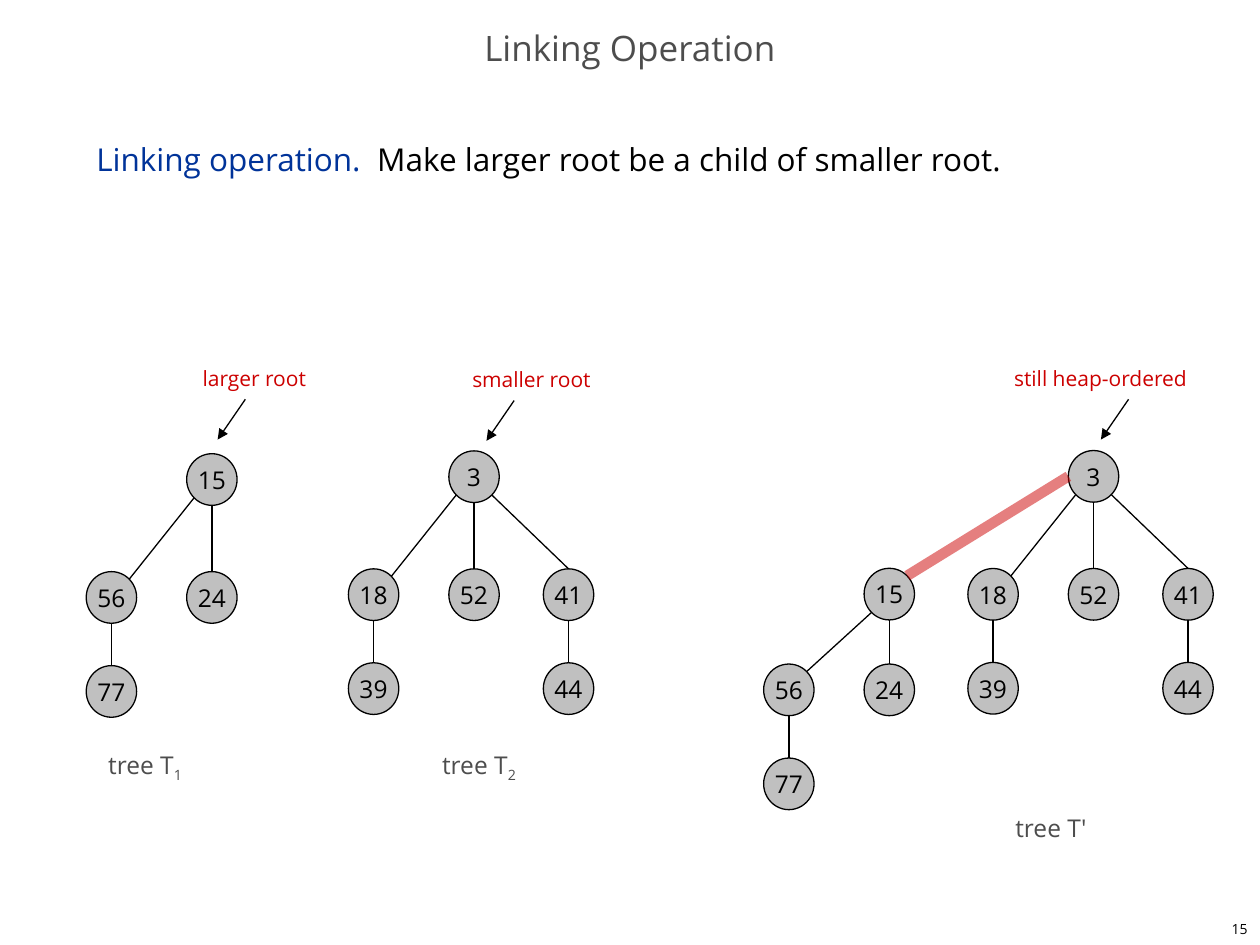
from lxml import etree
from pptx import Presentation
from pptx.dml.color import RGBColor
from pptx.enum.shapes import MSO_CONNECTOR, MSO_SHAPE
from pptx.enum.text import MSO_ANCHOR, MSO_AUTO_SIZE, PP_ALIGN
from pptx.oxml.ns import qn
from pptx.util import Pt

OVAL, STRAIGHT = MSO_SHAPE.OVAL, MSO_CONNECTOR.STRAIGHT
TOP, MIDDLE = MSO_ANCHOR.TOP, MSO_ANCHOR.MIDDLE
LEFT, CENTER, RIGHT = PP_ALIGN.LEFT, PP_ALIGN.CENTER, PP_ALIGN.RIGHT
FIT, FIXED = MSO_AUTO_SIZE.SHAPE_TO_FIT_TEXT, MSO_AUTO_SIZE.NONE

BLACK = RGBColor(0x00, 0x00, 0x00)
WHITE = RGBColor(0xFF, 0xFF, 0xFF)
GRAY = RGBColor(0x4D, 0x4D, 0x4D)
SILVER = RGBColor(0xC0, 0xC0, 0xC0)
BLUE = RGBColor(0x00, 0x33, 0x99)
RED = RGBColor(0xCC, 0x00, 0x00)

FONT = "Open Sans"
NODE_W, NODE_H = 28.8, 29.5
CORNER_X, CORNER_Y = 10.2, 10.5
LEFT_DX, RIGHT_DX = -57.4, 54
ROOT_DROP, LEAF_DROP = 67.4, 53.7

SMALLER = [
    ("3", None, 0, 0),
    ("18", "3", LEFT_DX, ROOT_DROP),
    ("52", "3", 0, ROOT_DROP),
    ("41", "3", RIGHT_DX, ROOT_DROP),
    ("39", "18", 0, LEAF_DROP),
    ("44", "41", 0, LEAF_DROP),
]


def larger(drop):
    return [
        ("15", None, 0, 0),
        ("56", "15", LEFT_DX, drop),
        ("24", "15", 0, drop),
        ("77", "56", 0, LEAF_DROP),
    ]


TREES = [
    (SMALLER, 270.9, 272.4),
    (larger(ROOT_DROP), 121.1, 274),
    (SMALLER, 624.9, 272.2),
    (larger(54.7), 508.2, 339.5),
]
TREE_LABELS = [
    (54.7, 424.8, 70, "tree T", "1"),
    (245.5, 424.8, 70, "tree T", "2"),
    (573.1, 460.8, 73.4, "tree T'", ""),
]
CALLOUTS = [
    (262.8, 205.9, 100.8, "smaller root", 31),
    (108.7, 205.2, 93.6, "larger root", 31.5),
    (572.4, 205.2, 144, "still heap-ordered", 72.5),
]

prs = Presentation()
prs.slide_width, prs.slide_height = Pt(720), Pt(540)
s = prs.slides.add_slide(prs.slide_layouts[6])
s.background.fill.solid()
s.background.fill.fore_color.rgb = WHITE


def write(sp, runs, size=14, align=LEFT, anchor=TOP, wrap=True, fit=FIXED, spacing=None):
    tf = sp.text_frame
    tf.word_wrap, tf.auto_size, tf.vertical_anchor = wrap, fit, anchor
    p = tf.paragraphs[0]
    p.alignment = align
    if spacing:
        p.line_spacing = spacing
    for text, color, baseline in runs:
        r = p.add_run()
        r.text = text
        r.font.name, r.font.size, r.font.color.rgb = FONT, Pt(size), color
        if baseline:
            r.font._element.set("baseline", str(baseline))


def add_text(x, y, w, h, runs, **fmt):
    write(s.shapes.add_textbox(Pt(x), Pt(y), Pt(w), Pt(h)), runs, **fmt)


def add_line(start, end, color=BLACK, width=0.75, alpha=None, arrow=False):
    sp = s.shapes.add_connector(STRAIGHT, *(Pt(v) for v in (*start, *end)))
    sp.line.color.rgb, sp.line.width = color, Pt(width)
    pr = sp._element.spPr
    etree.SubElement(pr, qn("a:effectLst"))
    if alpha:
        etree.SubElement(pr.find(".//" + qn("a:srgbClr")), qn("a:alpha"), val=str(alpha * 1000))
    if arrow:
        etree.SubElement(pr.find(qn("a:ln")), qn("a:tailEnd"), type="triangle")


def add_node(label, x, y):
    sp = s.shapes.add_shape(OVAL, Pt(x - NODE_W / 2), Pt(y - NODE_H / 2), Pt(NODE_W), Pt(NODE_H))
    sp.shadow.inherit = False
    sp.fill.solid()
    sp.fill.fore_color.rgb = SILVER
    sp.line.color.rgb, sp.line.width = BLACK, Pt(0.75)
    write(sp, [(label, BLACK, 0)], align=CENTER, anchor=MIDDLE, wrap=False)


def add_edge(child, parent):
    (cx, cy), (px, py) = child, parent
    start, end = (cx, cy - NODE_H / 2), (px, py + NODE_H / 2)
    if cx < px:
        start = (cx + CORNER_X, cy - CORNER_Y)
        end = (px - CORNER_X, py + CORNER_Y)
    elif cx > px:
        end = (px + CORNER_X, py + CORNER_Y)
    add_line(start, end)


def add_tree(nodes, x, y):
    places = {None: (x, y)}
    for label, parent, dx, dy in nodes:
        px, py = places[parent]
        places[label] = (px + dx, py + dy)
        add_node(label, *places[label])
        if parent:
            add_edge(places[label], places[parent])


add_text(570.2, 522, 149.8, 18, [("15", BLACK, 0)], size=8, align=RIGHT, anchor=MIDDLE, wrap=False)
add_text(0, 12, 720, 36, [("Linking Operation", GRAY, 0)],
         size=20, align=CENTER, anchor=MIDDLE, spacing=0.7)
add_text(48, 72, 618, 426, [
    ("Linking operation.  ", BLUE, 0),
    ("Make larger root be a child of smaller root.", BLACK, 0),
], size=18, spacing=Pt(26))

for nodes, x, y in TREES:
    add_tree(nodes, x, y)

(_, root_x, root_y), (_, child_x, child_y) = TREES[2:]
add_line((child_x + CORNER_X, child_y - CORNER_Y), (root_x - NODE_W / 2, root_y),
         color=RED, width=6, alpha=50)

for x, y, w, name, index in TREE_LABELS:
    runs = [(name, GRAY, 0)]
    if index:
        runs.append((index, GRAY, -25000))
    add_text(x, y, w, 24.5, runs, wrap=name.endswith("'"), fit=FIT)

for x, y, w, text, dx in CALLOUTS:
    add_text(x, y, w, 21.6, [(text, RED, 0)], size=12, fit=FIT)
    add_line((x + dx, y + 23), (x + dx - 15.8, y + 46), arrow=True)

prs.save("out.pptx")
